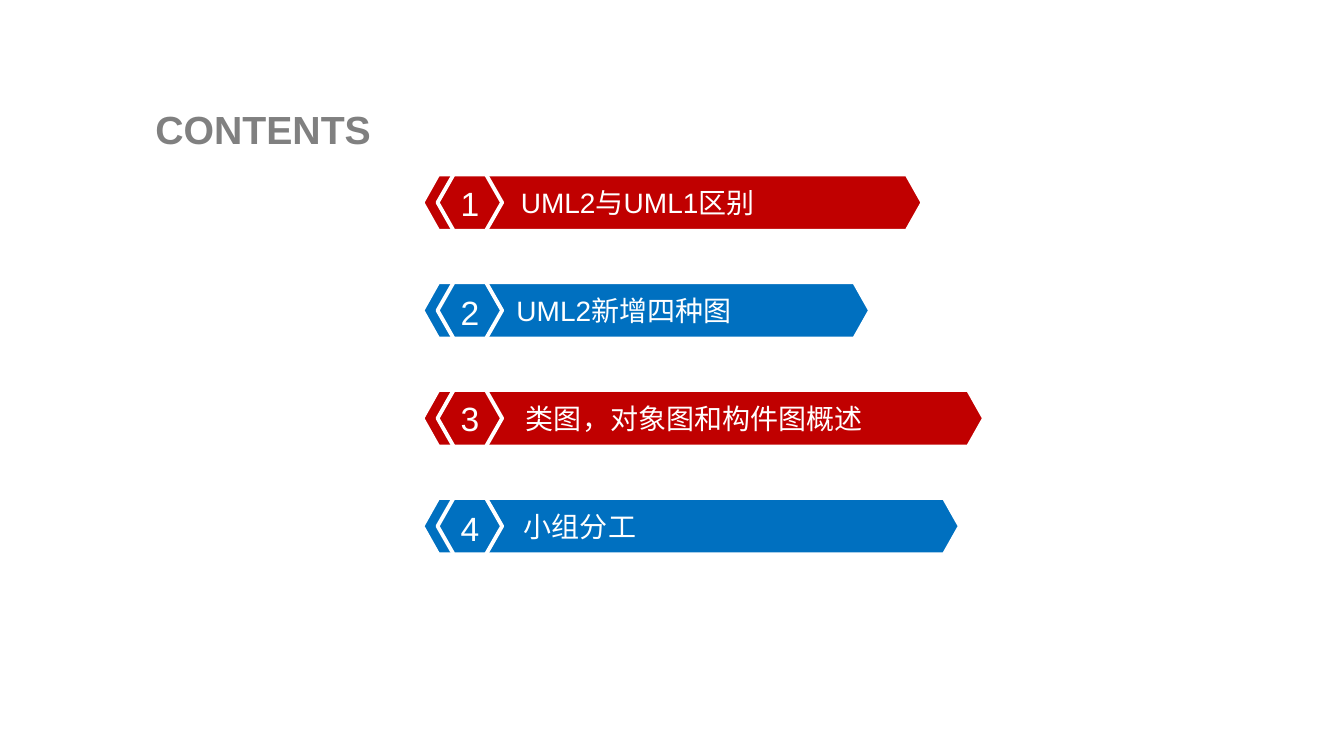
from lxml.etree import SubElement
from pptx import Presentation
from pptx.dml.color import RGBColor
from pptx.enum.shapes import MSO_SHAPE as Shape
from pptx.enum.text import MSO_ANCHOR as Anchor, PP_ALIGN as Align
from pptx.oxml.ns import qn
from pptx.util import Inches, Pt

RED = RGBColor(0xC0, 0x00, 0x00)
BLUE = RGBColor(0x00, 0x70, 0xC0)
WHITE = RGBColor(0xFF, 0xFF, 0xFF)
GRAY = RGBColor(0x80, 0x80, 0x80)
LATIN, CHINESE = "Arial", "Noto Sans CJK SC"

# Rows of the agenda, in inches
FIRST_TOP, ROW_STEP, ROW_HEIGHT = 1.73, 1.07, 0.56
BAR_LEFT, BADGE_LEFT, BADGE_WIDTH = 4.19, 4.34, 0.64
BADGE_SLANT = BADGE_WIDTH / 4

topics = [
    ("UML2与UML1区别", 4.96, RED, LATIN, 1.0),
    ("UML2新增四种图", 4.44, BLUE, LATIN, 1.1),
    ("类图，对象图和构件图概述", 5.57, RED, CHINESE, 1.0),
    ("小组分工", 5.33, BLUE, LATIN, 1.1),
]


def write(holder, text, size, color, align, font=LATIN):
    paragraph = holder.text_frame.paragraphs[0]
    paragraph.text = text
    paragraph.alignment = align
    paragraph.font.name = font
    paragraph.font.size = Pt(size)
    paragraph.font.color.rgb = color
    east_asian = SubElement(paragraph.font._element, qn("a:ea"))
    east_asian.set("typeface", CHINESE)
    return paragraph


def style(shape, color, left_inset, right_inset):
    shape.shadow.inherit = False
    shape.fill.solid()
    shape.fill.fore_color.rgb = color
    shape.line.color.rgb = WHITE
    shape.line.width = Pt(2.75)
    frame = shape.text_frame
    frame.word_wrap = True
    frame.vertical_anchor = Anchor.MIDDLE
    frame.margin_left, frame.margin_right = Inches(left_inset), Inches(right_inset)
    frame.margin_top = frame.margin_bottom = 0


deck = Presentation()
deck.slide_width, deck.slide_height = Inches(13.33), Inches(7.5)
slide = deck.slides.add_slide(deck.slide_layouts[6])

# Agenda: a coloured bar with a numbered badge in each row
for row, (topic, width, color, font, spacing) in enumerate(topics):
    top = FIRST_TOP + row * ROW_STEP
    middle, bottom = top + ROW_HEIGHT / 2, top + ROW_HEIGHT

    bar = slide.shapes.add_shape(Shape.HEXAGON, Inches(BAR_LEFT), Inches(top),
                                 Inches(width), Inches(ROW_HEIGHT))
    bar.adjustments[0] = 0.282
    bar.adjustments[1] = 1.155
    style(bar, color, 0.51, 0.08)
    write(bar, topic, 20, WHITE, Align.LEFT, font)

    right = BADGE_LEFT + BADGE_WIDTH
    corners = [
        (BADGE_LEFT + BADGE_SLANT, top), (right - BADGE_SLANT, top), (right, middle),
        (right - BADGE_SLANT, bottom), (BADGE_LEFT + BADGE_SLANT, bottom),
        (BADGE_LEFT, middle),
    ]
    start, *others = [(Inches(x), Inches(y)) for x, y in corners]
    outline = slide.shapes.build_freeform(*start)
    outline.add_line_segments(others, close=True)
    badge = outline.convert_to_shape()
    style(badge, color, 0, 0)
    number = write(badge, str(row + 1), 24, WHITE, Align.CENTER)
    number.line_spacing = spacing

# Heading
heading = slide.shapes.add_textbox(Inches(1.23), Inches(1), Inches(2.76), Inches(0.57))
heading.text_frame.word_wrap = True
write(heading, "CONTENTS", 28, GRAY, Align.CENTER).font.bold = True

deck.save("out.pptx")
